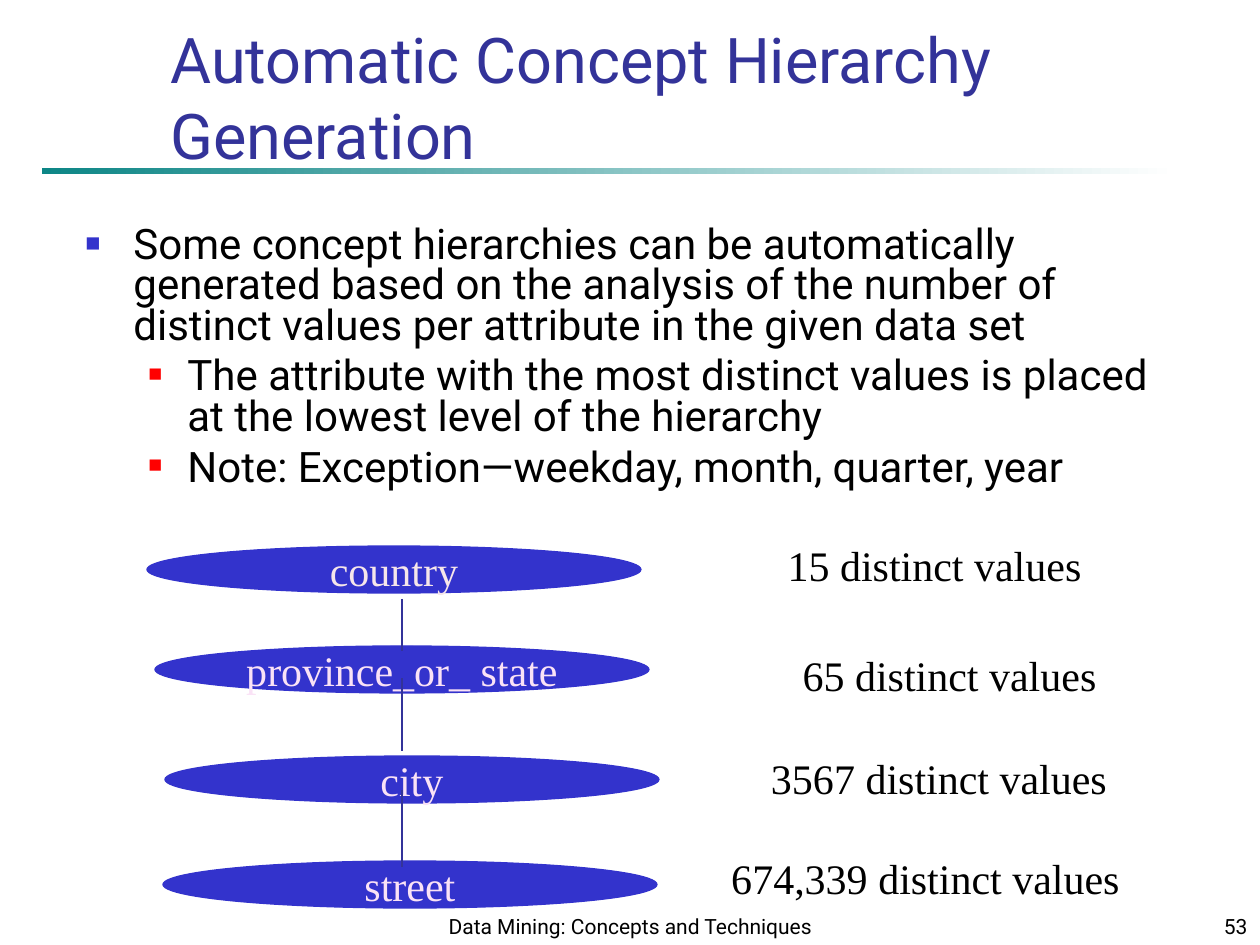
from typing import NamedTuple

from lxml import etree
from pptx import Presentation
from pptx.dml.color import RGBColor
from pptx.enum.shapes import MSO_CONNECTOR, MSO_SHAPE
from pptx.enum.text import MSO_ANCHOR, PP_ALIGN
from pptx.oxml.ns import qn
from pptx.util import Pt

EMU_PER_PX = 914400 / 126
LEFT, CENTER, RIGHT = PP_ALIGN.LEFT, PP_ALIGN.CENTER, PP_ALIGN.RIGHT
TOP, MIDDLE, BOTTOM = MSO_ANCHOR.TOP, MSO_ANCHOR.MIDDLE, MSO_ANCHOR.BOTTOM
OVAL, RECTANGLE = MSO_SHAPE.OVAL, MSO_SHAPE.RECTANGLE
STRAIGHT = MSO_CONNECTOR.STRAIGHT
SANS, SERIF = "Roboto", "Times New Roman"
COLORS = {
    "title": "333399",
    "node": "3333CC",
    "country": "F6E6EA",
    "node_text": "FAE2F6",
    "text": "000000",
    "sub_bullet": "FF0000",
    "teal": "0D8686",
    "white": "FFFFFF",
}


class Area(NamedTuple):
    left: int
    top: int
    width: int
    height: int


class Style(NamedTuple):
    font: str
    size: int
    color: str
    align: PP_ALIGN = LEFT
    anchor: MSO_ANCHOR = TOP
    wrap: bool = True


class Level(NamedTuple):
    name: str
    area: Area
    color: str
    count: str
    count_area: Area


class Bullet(NamedTuple):
    text: str
    level: int
    margin: int
    hanging: int
    color: str
    percent: int


class Link(NamedTuple):
    top: int
    bottom: int


TITLE = Style(SANS, 36, "title", anchor=BOTTOM)
BODY = Style(SANS, 24, "text")
COUNT = Style(SERIF, 24, "text", CENTER, wrap=False)
FOOTER = Style(SANS, 12, "text", CENTER, BOTTOM)
PAGE_NUMBER = FOOTER._replace(align=RIGHT)

LEVELS = [
    Level("country", Area(147, 546, 494, 47), "country",
          "15 distinct values", Area(769, 533, 331, 63)),
    Level("province_or_ state", Area(155, 646, 494, 47), "node_text",
          "65 distinct values", Area(784, 643, 331, 63)),
    Level("city", Area(165, 756, 494, 47), "node_text",
          "3567 distinct values", Area(751, 746, 376, 63)),
    Level("street", Area(163, 861, 494, 47), "node_text",
          "674,339 distinct values", Area(711, 846, 429, 63)),
]
LINK_X = 402
LINKS = [Link(599, 651), Link(678, 751), Link(790, 867)]
BULLETS = [
    Bullet("Some concept hierarchies can be automatically generated based on the "
           "analysis of the number of distinct values per attribute in the given data set",
           0, 48, 48, "node", 60),
    Bullet("The attribute with the most distinct values is placed at the lowest "
           "level of the hierarchy", 1, 102, 39, "sub_bullet", 55),
    Bullet("Note: Exception—weekday, month, quarter, year",
           1, 102, 39, "sub_bullet", 55),
]


def px(length: int) -> int:
    return round(length * EMU_PER_PX)


def emu(area: Area) -> list[int]:
    return [px(length) for length in area]


def rgb(name: str) -> RGBColor:
    return RGBColor.from_string(COLORS[name])


def style_paragraph(para, style: Style) -> None:
    para.alignment = style.align
    para.font.name = style.font
    para.font.size = Pt(style.size)
    para.font.color.rgb = rgb(style.color)


def write(shape, text: str, style: Style) -> None:
    frame = shape.text_frame
    frame.word_wrap = style.wrap
    frame.vertical_anchor = style.anchor
    frame.text = text
    for para in frame.paragraphs:
        style_paragraph(para, style)


def add_text(page, area: Area, text: str, style: Style):
    box = page.shapes.add_textbox(*emu(area))
    write(box, text, style)
    return box


def add_rule(page, area: Area) -> None:
    rule = page.shapes.add_shape(RECTANGLE, *emu(area))
    rule.shadow.inherit = False
    rule.line.fill.background()
    rule.fill.gradient()
    rule.fill.gradient_angle = 0
    for stop, color in zip(rule.fill.gradient_stops, ("teal", "white")):
        stop.color.rgb = rgb(color)


def format_bullet(para, bullet: Bullet) -> None:
    para.level = bullet.level
    para.line_spacing = 0.8
    para.space_before = Pt(6)
    properties = para._p.get_or_add_pPr()
    properties.set("marL", str(px(bullet.margin)))
    properties.set("indent", str(-px(bullet.hanging)))
    color = etree.SubElement(properties, qn("a:buClr"))
    etree.SubElement(color, qn("a:srgbClr"), val=COLORS[bullet.color])
    etree.SubElement(properties, qn("a:buSzPct"), val=str(bullet.percent * 1000))
    etree.SubElement(properties, qn("a:buFont"), typeface="Arial")
    etree.SubElement(properties, qn("a:buChar"), char="■")
    properties.append(properties.find(qn("a:defRPr")))


def add_bullets(page, area: Area, bullets: list[Bullet]) -> None:
    box = add_text(page, area, "\n".join(bullet.text for bullet in bullets), BODY)
    for para, bullet in zip(box.text_frame.paragraphs, bullets):
        format_bullet(para, bullet)


def add_node(page, level: Level) -> None:
    node = page.shapes.add_shape(OVAL, *emu(level.area))
    node.shadow.inherit = False
    node.fill.solid()
    node.fill.fore_color.rgb = rgb("node")
    node.line.color.rgb = rgb("node")
    node.line.width = Pt(0.75)
    write(node, level.name, Style(SERIF, 24, level.color, CENTER, MIDDLE, False))


def add_link(page, link: Link) -> None:
    line = page.shapes.add_connector(
        STRAIGHT, px(LINK_X), px(link.top), px(LINK_X), px(link.bottom))
    line.line.color.rgb = rgb("title")
    line.line.width = Pt(0.75)
    etree.SubElement(line._element.spPr, qn("a:effectLst"))


def main() -> None:
    deck = Presentation()
    deck.slide_width, deck.slide_height = px(1260), px(945)
    page = deck.slides.add_slide(deck.slide_layouts[6])
    add_rule(page, Area(42, 168, 1134, 6))
    add_text(page, Area(158, 42, 1074, 136), "Automatic Concept Hierarchy Generation", TITLE)
    add_bullets(page, Area(73, 221, 1103, 294), BULLETS)
    for level in LEVELS:
        add_node(page, level)
    for link in LINKS:
        add_link(page, link)
    for level in LEVELS:
        add_text(page, level.count_area, level.count, COUNT)
    add_text(page, Area(431, 892, 399, 53), "Data Mining: Concepts and Techniques", FOOTER)
    add_text(page, Area(998, 892, 262, 53), "53", PAGE_NUMBER)
    deck.save("out.pptx")


if __name__ == "__main__":
    main()
